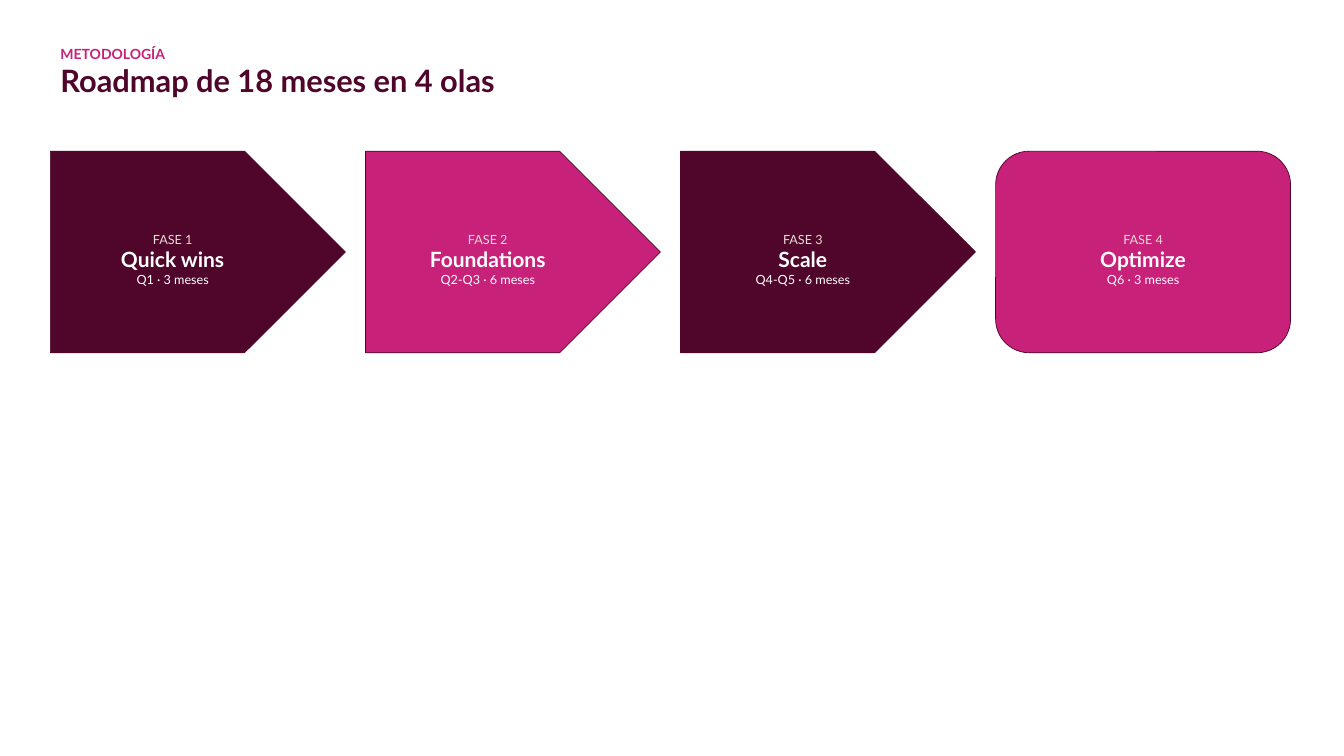
from dataclasses import dataclass

from pptx import Presentation
from pptx.dml.color import RGBColor
from pptx.enum.shapes import MSO_SHAPE
from pptx.enum.text import MSO_ANCHOR, MSO_AUTO_SIZE, PP_ALIGN
from pptx.util import Inches, Pt


@dataclass(frozen=True)
class Theme:
    font: str = "Lato"
    plum: RGBColor = RGBColor(0x4F, 0x06, 0x2A)
    magenta: RGBColor = RGBColor(0xC8, 0x21, 0x7A)
    sand: RGBColor = RGBColor(0xE8, 0xDD, 0xD2)
    white: RGBColor = RGBColor(0xFF, 0xFF, 0xFF)
    eyebrow_size: int = 10
    title_size: int = 22
    label_size: int = 9
    phase_size: int = 15


class RoadmapSlide:
    def __init__(self, deck, theme):
        self.theme = theme
        self.page = deck.slides.add_slide(deck.slide_layouts[5])

    def add_lines(self, frame, lines, align):
        """Add one paragraph per (text, size, colour, bold) line."""
        for index, (text, size, colour, bold) in enumerate(lines):
            para = frame.paragraphs[0] if index == 0 else frame.add_paragraph()
            para.alignment = align
            para.line_spacing = 1.0
            para.space_before = Pt(0)
            span = para.add_run()
            span.text = text
            span.font.name = self.theme.font
            span.font.size = Pt(size)
            span.font.color.rgb = colour
            span.font.bold = bold

    def heading(self, eyebrow, title):
        theme = self.theme
        box = self.page.shapes.title
        box.left, box.top = Inches(0.5), Inches(0.4)
        box.width, box.height = Inches(12.3), Inches(0.65)
        frame = box.text_frame
        frame.word_wrap = True
        frame.auto_size = MSO_AUTO_SIZE.SHAPE_TO_FIT_TEXT
        frame.vertical_anchor = MSO_ANCHOR.TOP
        self.add_lines(frame, [
            (eyebrow, theme.eyebrow_size, theme.magenta, True),
            (title, theme.title_size, theme.plum, True),
        ], PP_ALIGN.LEFT)

    def phase(self, outline, left, width, fill, label, name, period):
        theme = self.theme
        box = self.page.shapes.add_shape(
            outline, Inches(left), Inches(1.5), Inches(width), Inches(2))
        box.shadow.inherit = False
        box.fill.solid()
        box.fill.fore_color.rgb = fill
        box.line.color.rgb = theme.plum
        box.line.width = Pt(0.5)
        frame = box.text_frame
        frame.word_wrap = True
        frame.vertical_anchor = MSO_ANCHOR.MIDDLE
        frame.margin_left = frame.margin_right = frame.margin_top = Inches(0.2)
        frame.margin_bottom = Inches(0.05)
        self.add_lines(frame, [
            (label, theme.label_size, theme.sand, False),
            (name, theme.phase_size, theme.white, True),
            (period, theme.label_size, theme.white, False),
        ], PP_ALIGN.CENTER)


def main():
    deck = Presentation()
    deck.slide_width, deck.slide_height = Inches(13.33), Inches(7.5)
    theme = Theme()
    slide = RoadmapSlide(deck, theme)
    slide.heading("METODOLOGÍA", "Roadmap de 18 meses en 4 olas")

    phases = [
        ("Quick wins", "Q1 · 3 meses"),
        ("Foundations", "Q2-Q3 · 6 meses"),
        ("Scale", "Q4-Q5 · 6 meses"),
        ("Optimize", "Q6 · 3 meses"),
    ]
    gap = 0.2
    width = (12.3 - gap * (len(phases) - 1)) / len(phases)
    for index, (name, period) in enumerate(phases):
        is_last = index == len(phases) - 1
        outline = MSO_SHAPE.ROUNDED_RECTANGLE if is_last else MSO_SHAPE.PENTAGON
        fill = theme.magenta if index % 2 else theme.plum
        slide.phase(outline, 0.5 + index * (width + gap), width, fill,
                    f"FASE {index + 1}", name, period)

    deck.save("out.pptx")


if __name__ == "__main__":
    main()
